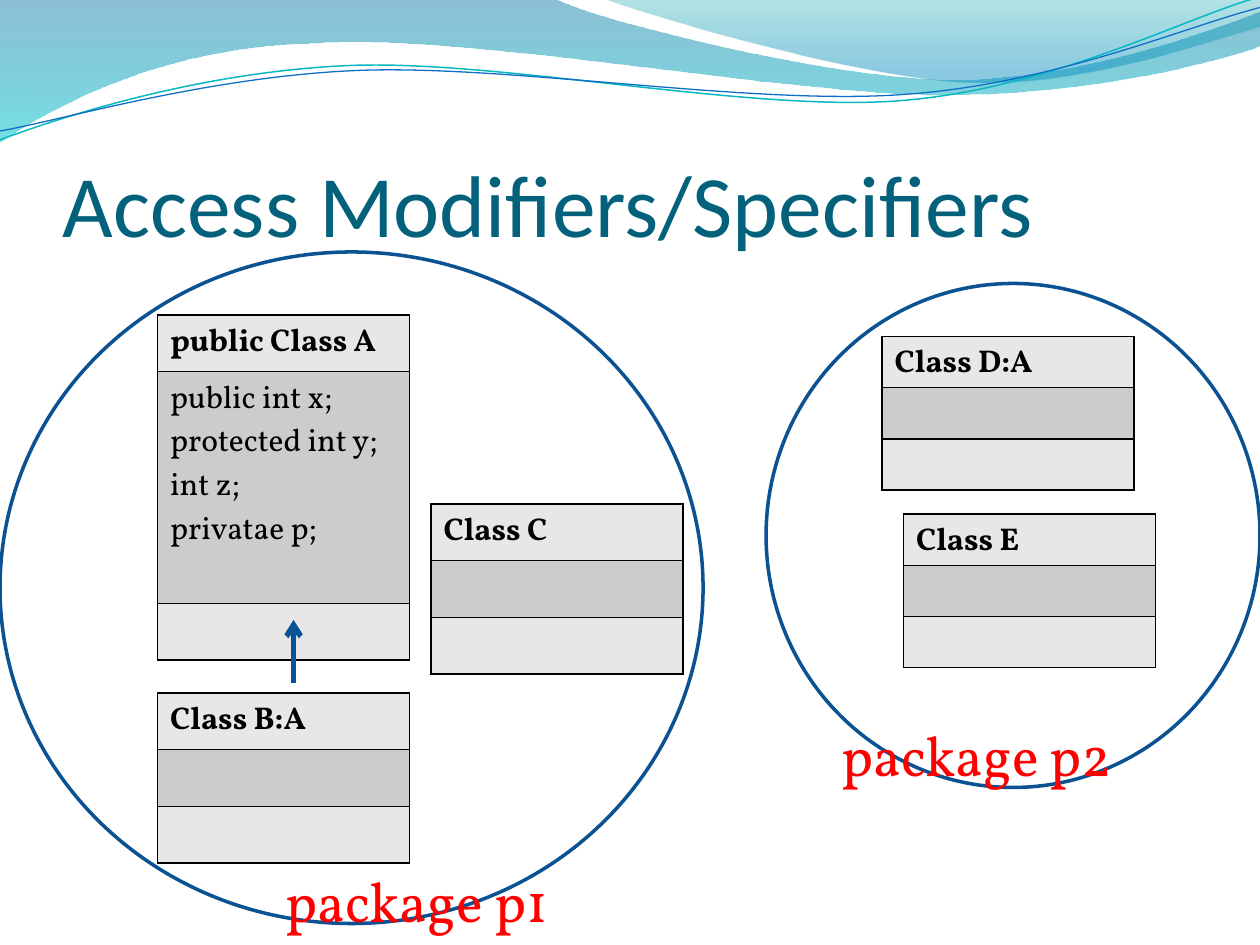
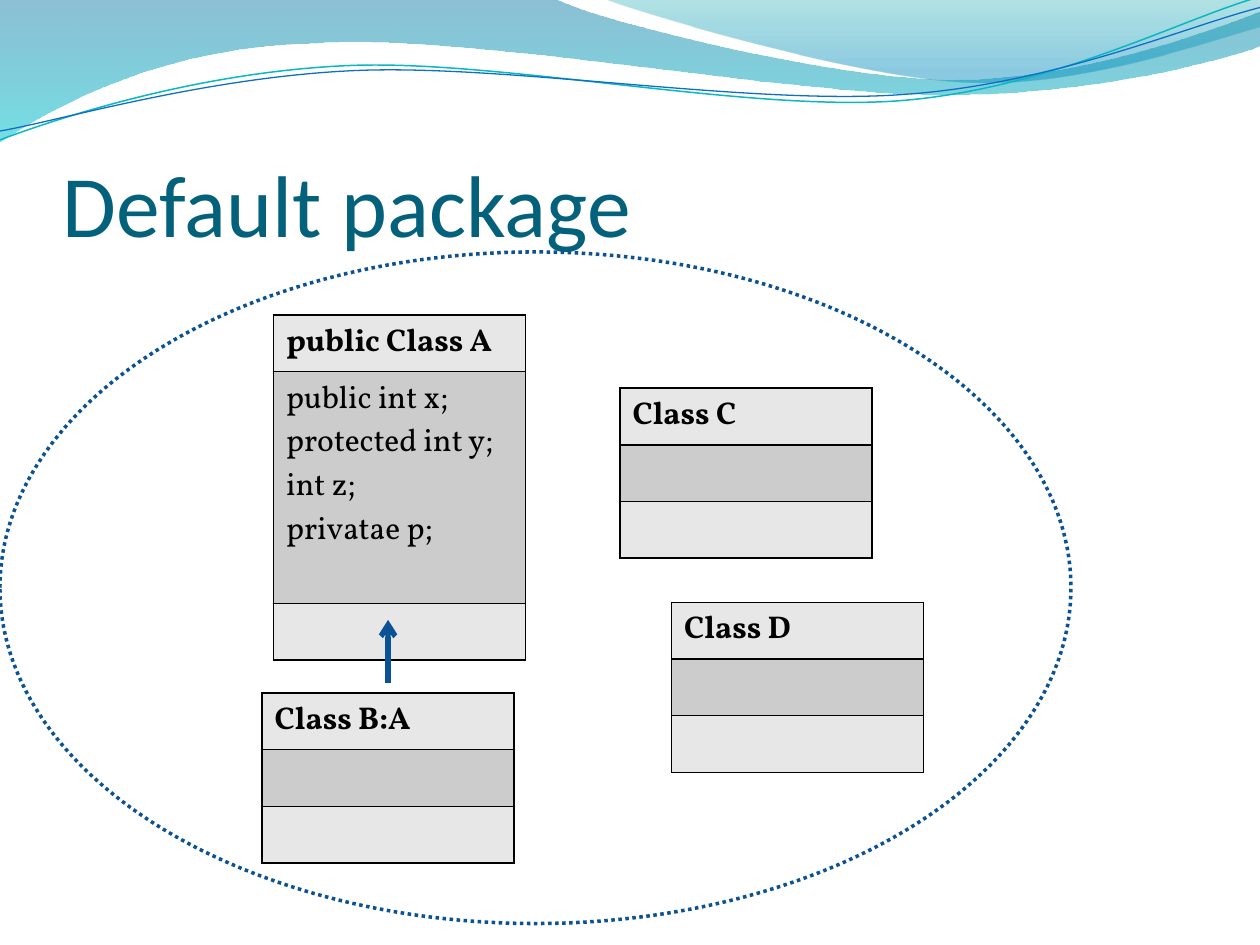
from dataclasses import dataclass
from math import cos, radians, sin
from typing import Any, Optional

from lxml.etree import SubElement
from pptx import Presentation
from pptx.dml.color import RGBColor
from pptx.enum.dml import MSO_LINE
from pptx.enum.shapes import MSO_CONNECTOR, MSO_SHAPE
from pptx.enum.text import MSO_ANCHOR
from pptx.oxml import parse_xml
from pptx.oxml.ns import nsdecls, qn
from pptx.util import Inches, Pt

COLORS = {
    "title": "04617B", "outline": "0B5292", "arrow": "095295",
    "caption": "FF0000", "text": "000000", "border": "000000",
    "light": "E7E7E7", "dark": "CCCCCC",
    "wave_blue": "0074A1", "wave_cyan": "00C6CF",
    "crest_teal": "00A1A9", "crest_blue": "008BBF",
    "line_teal": "0AB8BF", "line_blue": "0F6FC6",
}
TITLE_FONT, BODY_FONT = "Calibri", "Vollkorn"
TITLE_FRAME = {"margin_left": 0, "margin_right": 0, "margin_bottom": 0,
               "margin_top": Inches(0.05), "vertical_anchor": MSO_ANCHOR.BOTTOM}
CLASS_WIDTH, ROW, COMPACT_ROW, FIELDS_ROW = 2, 0.45, 1.22 / 3, 1.84
LINE_TILT = 357.3
FIELDS = "public int x;\nprotected int y;\nint z;\nprivatae p;"

Point = tuple[float, float]


@dataclass
class Stop:
    """One gradient stop: position 0 to 1 and opacity in percent."""
    position: float
    color: str
    opacity: int


@dataclass
class Wave:
    """A header curve; a segment holds one point (line) or three (Bezier)."""
    start: Point
    segments: list[tuple[Point, ...]]
    stops: tuple[Stop, ...] = ()
    color: str = ""
    width: float = 0
    center: Point = (0, 0)


@dataclass
class Package:
    """An ellipse that encloses the classes of a package."""
    left: float
    top: float
    width: float
    height: float
    dash: Optional[MSO_LINE] = None


@dataclass
class ClassBox:
    """A three-row class table."""
    name: str
    left: float
    top: float
    fields: str = ""
    compact: bool = False


@dataclass
class Caption:
    """A package label."""
    text: str
    left: float
    top: float


@dataclass
class Diagram:
    """The content of one slide."""
    title: str
    packages: list[Package]
    classes: list[ClassBox]
    arrow_x: float
    captions: list[Caption]


BANDS = [
    Wave((0, 0), [((4.4, -0.01),),
                  ((4.76, 0.17), (6.64, 0.63), (7.58, 0.63)),
                  ((8.53, 0.63), (9.58, 0.26), (10, 0.09)),
                  ((10.01, 0.36),),
                  ((9.83, 0.44), (8.7, 0.76), (7.46, 0.75)),
                  ((6.22, 0.75), (3.82, 0.28), (2.57, 0.34)),
                  ((1.29, 0.36), (0.46, 0.83), (-0.01, 1.13)),
                  ((0, 0),)],
         stops=(Stop(0, "wave_blue", 45), Stop(1, "wave_cyan", 55))),
    Wave((4.79, -0.01), [((5.09, 0.11), (6.82, 0.62), (7.69, 0.65)),
                         ((8.56, 0.69), (9.61, 0.32), (10, 0.21)),
                         ((10, 0),),
                         ((4.79, -0.01),)],
         stops=(Stop(0, "crest_teal", 30), Stop(0.8, "crest_blue", 45))),
]
LINES = [
    Wave((0, 1.11), [((0.48, 0.93), (1.58, 0.57), (2.77, 0.52)),
                     ((3.95, 0.47), (5.93, 0.89), (7.13, 0.8)),
                     ((8.33, 0.71), (9.38, 0.15), (9.98, -0.02))],
         color="line_teal", width=0.85, center=(4.99, 0.58)),
    Wave((0, 1.04), [((0.47, 0.96), (1.64, 0.61), (2.83, 0.56)),
                     ((4.03, 0.51), (5.97, 0.84), (7.17, 0.75)),
                     ((8.36, 0.67), (9.41, 0.21), (10, 0.06))],
         color="line_blue", width=0.75, center=(5, 0.59)),
]

DIAGRAMS = [
    Diagram("Access Modifiers/Specifiers",
            [Package(0, 2, 5.58, 5.33), Package(6.08, 2.25, 3.92, 4)],
            [ClassBox("public Class A", 1.25, 2.5, FIELDS),
             ClassBox("Class B:A", 1.25, 5.5),
             ClassBox("Class C", 3.42, 4),
             ClassBox("Class D:A", 7, 2.67, compact=True),
             ClassBox("Class E", 7.17, 4.08, compact=True)],
            2.33,
            [Caption("package p1", 2.17, 6.83), Caption("package p2", 6.58, 5.67)]),
    Diagram("Default package",
            [Package(0, 2, 8.5, 5.33, MSO_LINE.ROUND_DOT)],
            [ClassBox("public Class A", 2.17, 2.5, FIELDS),
             ClassBox("Class B:A", 2.08, 5.5),
             ClassBox("Class C", 4.92, 3.08),
             ClassBox("Class D", 5.33, 4.78)],
            3.08, []),
]


def rgb(name: str) -> RGBColor:
    """Look up a named colour."""
    return RGBColor.from_string(COLORS[name])


def apply_format(target: Any, values: dict[str, Any]) -> None:
    """Set each attribute in values on target."""
    for name, value in values.items():
        setattr(target, name, value)


def write_text(frame: Any, text: str, font: str, size: float, color: str,
               bold: bool = False) -> None:
    """Write text into a frame, one paragraph a line."""
    frame.text = text
    for paragraph in frame.paragraphs:
        for run in paragraph.runs:
            apply_format(run.font, {"name": font, "size": Pt(size), "bold": bold})
            run.font.color.rgb = rgb(color)


def add_text(slide: Any, box: tuple[float, ...], text: str, font: str,
             size: float, color: str, frame_format: dict[str, Any]) -> None:
    """Add a wrapping text box."""
    frame = slide.shapes.add_textbox(*map(Inches, box)).text_frame
    apply_format(frame, {"word_wrap": True, **frame_format})
    write_text(frame, text, font, size, color)


def level(point: Point, center: Point) -> Point:
    """Turn a point back by the line tilt about a centre."""
    angle = radians(-LINE_TILT)
    x, y = point[0] - center[0], point[1] - center[1]
    return (center[0] + x * cos(angle) - y * sin(angle),
            center[1] + x * sin(angle) + y * cos(angle))


def add_outline(slide: Any, wave: Wave) -> Any:
    """Draw the outline of a wave with true Bezier curves."""
    points = [wave.start, *(point for segment in wave.segments for point in segment)]
    if not wave.stops:
        points = [level(point, wave.center) for point in points]
    vertices = [(Inches(x), Inches(y)) for x, y in points]
    builder = slide.shapes.build_freeform(*vertices[0])
    builder.add_line_segments(vertices[1:], close=bool(wave.stops))
    shape = builder.convert_to_shape()
    shape.shadow.inherit = False
    steps = iter(list(shape._element.iter(qn("a:lnTo"))))
    for segment in wave.segments:
        first, *others = [next(steps) for _ in segment]
        if others:
            first.tag = qn("a:cubicBezTo")
        for other in others:
            first.append(other[0])
            other.getparent().remove(other)
    return shape


def add_band(slide: Any, wave: Wave) -> Any:
    """Draw a translucent gradient band."""
    shape = add_outline(slide, wave)
    shape.line.fill.background()
    shape.fill.gradient()
    shape.fill.gradient_angle = 270
    for target, stop in zip(shape.fill.gradient_stops, wave.stops):
        target.color.rgb = rgb(stop.color)
        target.position = stop.position
    gradient = shape._element.spPr.find(qn("a:gradFill"))
    for color, stop in zip(gradient.iter(qn("a:srgbClr")), wave.stops):
        SubElement(color, qn("a:alpha"), val=str(stop.opacity * 1000))
    return shape


def add_line(slide: Any, wave: Wave) -> Any:
    """Draw a thin tilted header line."""
    shape = add_outline(slide, wave)
    shape.rotation = LINE_TILT
    shape.fill.background()
    shape.line.color.rgb = rgb(wave.color)
    shape.line.width = Pt(wave.width)
    return shape


def add_header(presentation: Any, slide: Any) -> None:
    """Draw the header once and move it to the slide master."""
    parts = [add_band(slide, wave) for wave in BANDS]
    parts.append(slide.shapes.add_group_shape([add_line(slide, wave) for wave in LINES]))
    tree = presentation.slide_master.shapes._spTree
    for index, part in enumerate(parts, 2):
        tree.insert(index, part._element)
    for number, properties in enumerate(tree.iter(qn("p:cNvPr")), 1):
        properties.set("id", str(number))


def add_package(slide: Any, package: Package) -> None:
    """Draw an unfilled package ellipse."""
    box = (package.left, package.top, package.width, package.height)
    shape = slide.shapes.add_shape(MSO_SHAPE.OVAL, *map(Inches, box))
    shape.shadow.inherit = False
    shape.fill.background()
    shape.line.color.rgb = rgb("outline")
    apply_format(shape.line, {"width": Pt(2), "dash_style": package.dash})


def add_borders(cell: Any) -> None:
    """Give a cell a thin line on every side."""
    properties = cell._tc.get_or_add_tcPr()
    for index, side in enumerate(("lnL", "lnR", "lnT", "lnB")):
        properties.insert(index, parse_xml(
            f'<a:{side} {nsdecls("a")} w="{Pt(1)}"><a:solidFill>'
            f'<a:srgbClr val="{COLORS["border"]}"/></a:solidFill></a:{side}>'))


def add_class(slide: Any, box: ClassBox) -> None:
    """Draw a class as a table of name, fields and methods."""
    row = COMPACT_ROW if box.compact else ROW
    heights = (row, FIELDS_ROW if box.fields else row, row)
    frame = slide.shapes.add_table(
        3, 1, *map(Inches, (box.left, box.top, CLASS_WIDTH, sum(heights))))
    contents = zip(heights, (box.name, box.fields, ""), ("light", "dark", "light"))
    for index, (height, text, fill) in enumerate(contents):
        frame.table.rows[index].height = Inches(height)
        cell = frame.table.cell(index, 0)
        cell.fill.solid()
        cell.fill.fore_color.rgb = rgb(fill)
        add_borders(cell)
        if box.compact:
            cell.margin_bottom = 0
        if text:
            write_text(cell.text_frame, text, BODY_FONT, 18, "text", bold=index == 0)


def add_arrow(slide: Any, x: float) -> None:
    """Draw the upward inheritance arrow from class B to class A."""
    connector = slide.shapes.add_connector(
        MSO_CONNECTOR.STRAIGHT, *map(Inches, (x, 5.42, x, 4.92)))
    connector.line.color.rgb = rgb("arrow")
    connector.line.width = Pt(3)
    properties = connector._element.spPr
    SubElement(properties.find(qn("a:ln")), qn("a:tailEnd"), type="arrow")
    SubElement(properties, qn("a:effectLst"))


def add_diagram(slide: Any, diagram: Diagram) -> None:
    """Fill one slide with its title and class diagram."""
    add_text(slide, (0.5, 0.77, 9, 1.25), diagram.title, TITLE_FONT, 50, "title",
             TITLE_FRAME)
    for package in diagram.packages:
        add_package(slide, package)
    for box in diagram.classes:
        add_class(slide, box)
    add_arrow(slide, diagram.arrow_x)
    for caption in diagram.captions:
        add_text(slide, (caption.left, caption.top, 2.67, 0.64), caption.text,
                 BODY_FONT, 32, "caption", {})


presentation = Presentation()
apply_format(presentation, {"slide_width": Inches(10), "slide_height": Inches(7.5)})
slides = [presentation.slides.add_slide(presentation.slide_layouts[6]) for _ in DIAGRAMS]
add_header(presentation, slides[0])
for slide, diagram in zip(slides, DIAGRAMS):
    add_diagram(slide, diagram)
presentation.save("out.pptx")
